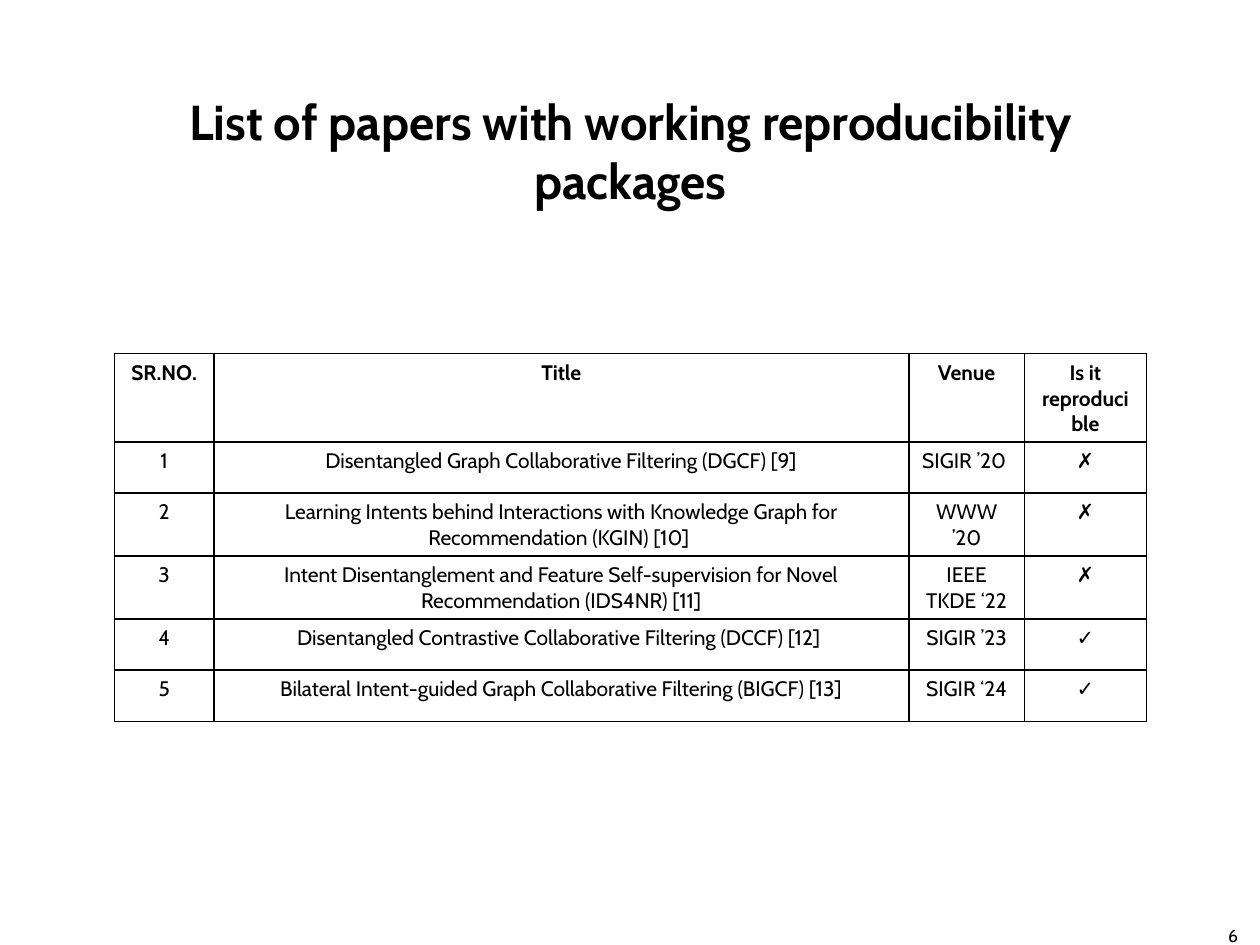
from lxml import etree
from pptx import Presentation
from pptx import util as u
from pptx.dml.color import RGBColor
from pptx.enum import text
from pptx.oxml import ns

BLACK = RGBColor(0, 0, 0)
COLUMN_WIDTHS = (2.0, 14.01, 2.33, 2.46)
ROW_HEIGHT = 1.03
PAPERS = (
    ("SR.NO.", "Title", "Venue", "Is it reproducible"),
    ("1", "Disentangled Graph Collaborative Filtering (DGCF) [9]", "SIGIR ’20 ", "✗"),
    ("2", "Learning Intents behind Interactions with Knowledge Graph for "
          "Recommendation (KGIN) [10] ", "WWW ’20", "✗"),
    ("3", "Intent Disentanglement and Feature Self-supervision for Novel "
          "Recommendation (IDS4NR) [11]", "IEEE TKDE ‘22", "✗"),
    ("4", "Disentangled Contrastive Collaborative Filtering (DCCF) [12] ", "SIGIR ’23", "✓"),
    ("5", "Bilateral Intent-guided Graph Collaborative Filtering (BIGCF) [13]", "SIGIR ‘24", "✓"),
)


class SlideBuilder:
    font = "Cabin"
    color = BLACK
    border = u.Pt(1)

    def __init__(self, page):
        self.page = page

    def add_words(self, frame, words, size, bold=False, align=text.PP_ALIGN.CENTER):
        para = frame.paragraphs[0]
        para.alignment = align
        span = para.add_run()
        span.text = words
        span.font.name = self.font
        span.font.size = u.Pt(size)
        span.font.bold = bold
        span.font.color.rgb = self.color

    def text_box(self, left, top, width, height, words, size, **style):
        box = self.page.shapes.add_textbox(u.Cm(left), u.Cm(top), u.Cm(width), u.Cm(height))
        box.text_frame.word_wrap = True
        self.add_words(box.text_frame, words, size, **style)

    def outline(self, cell):
        properties = cell._tc.get_or_add_tcPr()
        for position, side in enumerate(("lnL", "lnR", "lnT", "lnB")):
            line = etree.Element(ns.qn(f"a:{side}"), w=str(self.border))
            fill = etree.SubElement(line, ns.qn("a:solidFill"))
            etree.SubElement(fill, ns.qn("a:srgbClr"), val=str(self.color))
            properties.insert(position, line)

    def table(self, left, top, widths, row_height, rows, size):
        frame = self.page.shapes.add_table(
            len(rows), len(widths), u.Cm(left), u.Cm(top),
            u.Cm(sum(widths)), u.Cm(row_height * len(rows)))
        grid = frame.table
        grid.first_row = grid.horz_banding = False
        for column, width in zip(grid.columns, widths):
            column.width = u.Cm(width)
        for row_index, values in enumerate(rows):
            grid.rows[row_index].height = u.Cm(row_height)
            for column_index, value in enumerate(values):
                cell = grid.cell(row_index, column_index)
                cell.fill.background()
                self.outline(cell)
                self.add_words(cell.text_frame, value, size, bold=row_index == 0)


def main():
    deck = Presentation()
    deck.slide_width, deck.slide_height = u.Cm(25.4), u.Cm(19.05)
    builder = SlideBuilder(deck.slides.add_slide(deck.slide_layouts[6]))
    builder.text_box(2.31, 1.73, 20.8, 2.64,
                     "List of papers with working reproducibility packages", 28, bold=True)
    builder.text_box(24.51, 18.52, 0.89, 0.53, "6", 10, align=text.PP_ALIGN.LEFT)
    builder.table(2.31, 7.13, COLUMN_WIDTHS, ROW_HEIGHT, PAPERS, 12)
    deck.save("out.pptx")


if __name__ == "__main__":
    main()
